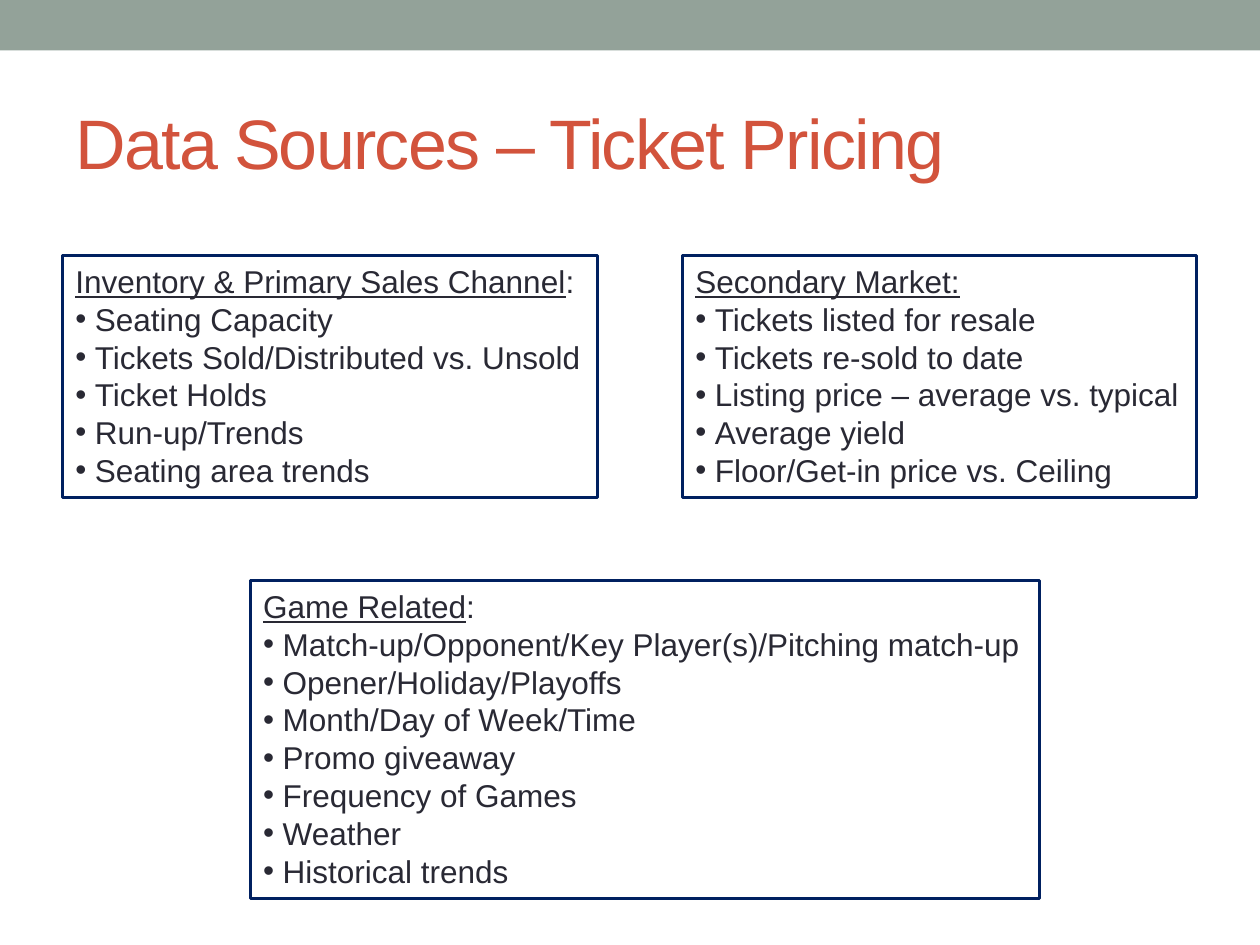
import pptx
import pptx.dml.color
import pptx.enum.shapes
import pptx.enum.text
import pptx.util
from lxml import etree
from pptx.oxml.ns import qn

Inches = pptx.util.Inches
Pt = pptx.util.Pt

WIDTH, HEIGHT = 10, 7.5
MARGIN = 0.5
TOP_ROW, BOTTOM_ROW = 2.03, 4.61
LINE_HEIGHT, BOX_PADDING = 0.3, 0.12
BULLET_INDENT = 0.155
FONT = "Arial"
SAGE, RED, NAVY, INK = "93A299", "D2533C", "002060", "292934"

# Left, top, width, underlined heading, plain ending, items
SOURCES = [
    (MARGIN, TOP_ROW, 4.24, "Inventory & Primary Sales Channel", ":", [
        "Seating Capacity",
        "Tickets Sold/Distributed vs. Unsold",
        "Ticket Holds",
        "Run-up/Trends",
        "Seating area trends",
    ]),
    (1.99, BOTTOM_ROW, 6.26, "Game Related", ":", [
        "Match-up/Opponent/Key Player(s)/Pitching match-up",
        "Opener/Holiday/Playoffs",
        "Month/Day of Week/Time",
        "Promo giveaway",
        "Frequency of Games",
        "Weather",
        "Historical trends",
    ]),
    (WIDTH - MARGIN - 4.08, TOP_ROW, 4.08, "Secondary Market:", "", [
        "Tickets listed for resale",
        "Tickets re-sold to date",
        "Listing price – average vs. typical",
        "Average yield",
        "Floor/Get-in price vs. Ceiling",
    ]),
]


def color(hex_text):
    return pptx.dml.color.RGBColor.from_string(hex_text)


def format_font(font, size, hex_text):
    font.name = FONT
    font.size = Pt(size)
    font.color.rgb = color(hex_text)


def add_band(slide):
    band = slide.shapes.add_shape(
        pptx.enum.shapes.MSO_SHAPE.RECTANGLE, 0, 0, Inches(WIDTH), Inches(0.4))
    band.shadow.inherit = False
    band.fill.solid()
    band.fill.fore_color.rgb = color(SAGE)
    band.line.fill.background()


def set_title(slide, text):
    title = slide.shapes.title
    title.left, title.top = Inches(MARGIN), Inches(0.58)
    title.width, title.height = Inches(WIDTH - 2 * MARGIN), Inches(1.08)
    title.text_frame.text = text
    title.text_frame.vertical_anchor = pptx.enum.text.MSO_ANCHOR.MIDDLE
    paragraph = title.text_frame.paragraphs[0]
    paragraph.alignment = pptx.enum.text.PP_ALIGN.LEFT
    run = paragraph.runs[0]
    format_font(run.font, 40, RED)
    run.font._element.set("spc", "-100")  # letter spacing of -1 pt


def add_bullet(paragraph):
    properties = paragraph._p.get_or_add_pPr()
    indent = Inches(BULLET_INDENT)
    properties.set("marL", str(indent))
    properties.set("indent", str(-indent))
    etree.SubElement(properties, qn("a:buFont")).set("typeface", FONT)
    etree.SubElement(properties, qn("a:buChar")).set("char", "•")


def add_source_box(slide, left, top, width, heading, ending, items):
    height = LINE_HEIGHT * (len(items) + 1) + BOX_PADDING
    box = slide.shapes.add_textbox(
        Inches(left), Inches(top), Inches(width), Inches(height))
    box.line.color.rgb = color(NAVY)
    box.line.width = Pt(1.75)
    frame = box.text_frame
    frame.word_wrap = False
    frame.auto_size = pptx.enum.text.MSO_AUTO_SIZE.SHAPE_TO_FIT_TEXT

    # Heading, underlined up to its ending
    frame.text = heading
    first = frame.paragraphs[0]
    first.runs[0].font.underline = True
    if ending:
        first.add_run().text = ending

    # Bulleted items
    for item in items:
        paragraph = frame.add_paragraph()
        paragraph.text = item
        add_bullet(paragraph)

    for paragraph in frame.paragraphs:
        for run in paragraph.runs:
            format_font(run.font, 18, INK)


def main():
    presentation = pptx.Presentation()
    presentation.slide_width = Inches(WIDTH)
    presentation.slide_height = Inches(HEIGHT)
    slide = presentation.slides.add_slide(presentation.slide_layouts[5])

    add_band(slide)
    set_title(slide, "Data Sources – Ticket Pricing")
    for source in SOURCES:
        add_source_box(slide, *source)

    presentation.save("out.pptx")


if __name__ == "__main__":
    main()
